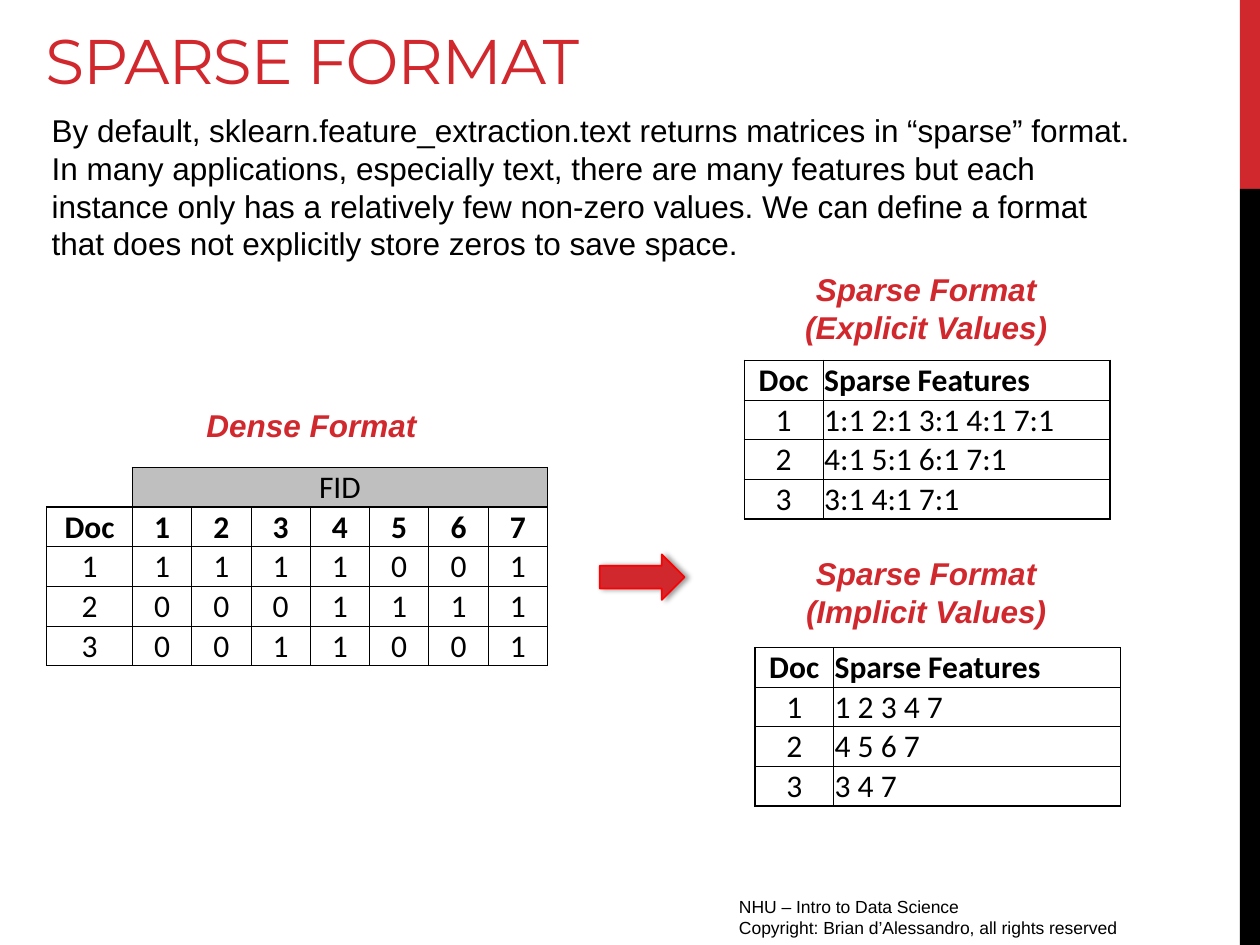
import pptx
import pptx.util
import pptx.dml.color
import pptx.enum.shapes
import pptx.enum.text
import pptx.oxml
import pptx.oxml.ns

Pt = pptx.util.Pt
ALIGN = pptx.enum.text.PP_ALIGN
ANCHOR = pptx.enum.text.MSO_ANCHOR
SHAPE = pptx.enum.shapes.MSO_SHAPE
RED, BLACK, GREY = "D1282E", "000000", "BFBFBF"


def color(value):
    return pptx.dml.color.RGBColor.from_string(value)


def write(frame, lines, align, ink, font):
    frame.word_wrap = True
    for index, line in enumerate(lines):
        para = frame.paragraphs[0] if index == 0 else frame.add_paragraph()
        para.alignment = align
        span = para.add_run()
        span.text = line
        for name, value in font.items():
            setattr(span.font, name, value)
        span.font.color.rgb = color(ink)


deck = pptx.Presentation()
deck.slide_width, deck.slide_height = Pt(720), Pt(540)
page = deck.slides.add_slide(deck.slide_layouts[5])

for top, height, fill in [(0, 108, RED), (108, 432, BLACK)]:
    bar = page.shapes.add_shape(SHAPE.RECTANGLE, Pt(708.5), Pt(top), Pt(11.5), Pt(height))
    bar.shadow.inherit = False
    bar.fill.solid()
    bar.fill.fore_color.rgb = color(fill)
    bar.line.fill.background()

title = page.shapes.title
title_place = {"left": 18.7, "top": 7.2, "width": 680.4, "height": 51.8}
for name, value in title_place.items():
    setattr(title, name, Pt(value))
title.text_frame.auto_size = pptx.enum.text.MSO_AUTO_SIZE.NONE
title.text_frame.vertical_anchor = ANCHOR.BOTTOM
write(title.text_frame, ["SPARSE FORMAT"], ALIGN.LEFT, RED, {"size": Pt(36), "name": "Montserrat"})
title.text_frame.paragraphs[0].runs[0].font._element.set("spc", "-60")

body_font = {"size": Pt(18), "name": "Arial"}
footer_font = {"size": Pt(10), "name": "Arial"}
label_font = {"size": Pt(18), "name": "Arial", "bold": True, "italic": True}
intro = (
    "By default, sklearn.feature_extraction.text returns matrices in “sparse” format. "
    "In many applications, especially text, there are many features but each instance "
    "only has a relatively few non-zero values. We can define a format that does not "
    "explicitly store zeros to save space."
)
footer = ["NHU – Intro to Data Science", "Copyright: Brian d’Alessandro, all rights reserved"]
texts = [
    ((22.5, 59.9, 633.6, 94.5), [intro], ALIGN.LEFT, BLACK, body_font),
    ((415.2, 508.5, 270, 22.5), footer, ALIGN.LEFT, BLACK, footer_font),
    ((30.7, 228.5, 294.5, 29), ["Dense Format"], ALIGN.CENTER, RED, label_font),
    ((382, 151, 294.5, 51), ["Sparse Format", "(Explicit Values)"], ALIGN.CENTER, RED, label_font),
    ((382, 313.2, 294.5, 51), ["Sparse Format", "(Implicit Values)"], ALIGN.CENTER, RED, label_font),
]
for place, lines, align, ink, font in texts:
    box = page.shapes.add_textbox(*map(Pt, place))
    write(box.text_frame, lines, align, ink, font)

dense_rows = [
    ["", "FID", "", "", "", "", "", ""],
    ["Doc", *"1234567"],
    ["1", *"1111001"],
    ["2", *"0001111"],
    ["3", *"0011001"],
]
header = ["Doc", "Sparse Features"]
explicit_rows = [header, ["1", "1:1 2:1 3:1 4:1 7:1"], ["2", "4:1 5:1 6:1 7:1"], ["3", "3:1 4:1 7:1"]]
implicit_rows = [header, ["1", "1 2 3 4 7"], ["2", "4 5 6 7"], ["3", "3 4 7"]]
row_height = 22.63
cell_format = {
    "margin_left": Pt(0.7),
    "margin_right": Pt(0.7),
    "margin_top": Pt(0.7),
    "margin_bottom": Pt(0),
    "vertical_anchor": ANCHOR.BOTTOM,
}
tables = [
    (26.6, 267.2, [49.1] + [33.9] * 7, dense_rows, 1),
    (425.4, 206, [44.9, 164], explicit_rows, 0),
    (431.4, 370, [44.9, 164], implicit_rows, 0),
]
for left, top, widths, rows, header_row in tables:
    frame = page.shapes.add_table(
        len(rows), len(widths), Pt(left), Pt(top), Pt(sum(widths)), Pt(row_height * len(rows))
    )
    table = frame.table
    table.first_row = table.horz_banding = False
    for column, width in zip(table.columns, widths):
        column.width = Pt(width)
    for row in table.rows:
        row.height = Pt(row_height)
    last_row, last_column = len(rows) - 1, len(widths) - 1
    if header_row:
        table.cell(0, 1).merge(table.cell(0, last_column))
    for r, values in enumerate(rows):
        for c, value in enumerate(values):
            cell = table.cell(r, c)
            banner = r < header_row
            for name, setting in cell_format.items():
                setattr(cell, name, setting)
            if banner and c > 0:
                cell.fill.solid()
                cell.fill.fore_color.rgb = color(GREY)
            else:
                cell.fill.background()
            if value:
                align = ALIGN.LEFT if c == 1 and not header_row else ALIGN.CENTER
                font = {"size": Pt(18), "name": "Calibri", "bold": r == header_row}
                write(cell.text_frame, [value], align, BLACK, font)
            edges = {
                "L": 1 if c == 0 or (banner and c == 1) else 0.5,
                "R": 1 if c == last_column or banner else 0.5,
                "T": 1 if r in (0, header_row) else 0.5,
                "B": 1 if r in (header_row - 1, last_row) else 0.5,
            }
            if banner and c == 0:
                edges.update(L=0, T=0)
            if cell.is_spanned:
                edges.update(L=0, R=int(c == last_column))
            for position, (side, weight) in enumerate(edges.items()):
                paint = f'<a:solidFill><a:srgbClr val="{BLACK}"/></a:solidFill>' if weight else "<a:noFill/>"
                border = pptx.oxml.parse_xml(
                    f'<a:ln{side} {pptx.oxml.ns.nsdecls("a")} w="{Pt(weight)}">{paint}</a:ln{side}>'
                )
                cell._tc.get_or_add_tcPr().insert(position, border)

arrow = page.shapes.add_shape(SHAPE.RIGHT_ARROW, Pt(342.7), Pt(316.8), Pt(48.5), Pt(26))
arrow.fill.solid()
arrow.fill.fore_color.rgb = color(RED)
arrow.line.color.rgb = color("FF0000")
arrow.line.width = Pt(1)
arrow.shadow.inherit = False
shadow = pptx.oxml.parse_xml(
    f'<a:outerShdw {pptx.oxml.ns.nsdecls("a")} blurRad="{Pt(3.1)}" dist="{Pt(1.8)}" dir="0">'
    f'<a:srgbClr val="{BLACK}"><a:alpha val="40000"/></a:srgbClr></a:outerShdw>'
)
arrow._element.spPr.find(pptx.oxml.ns.qn("a:effectLst")).append(shadow)

deck.save("out.pptx")
